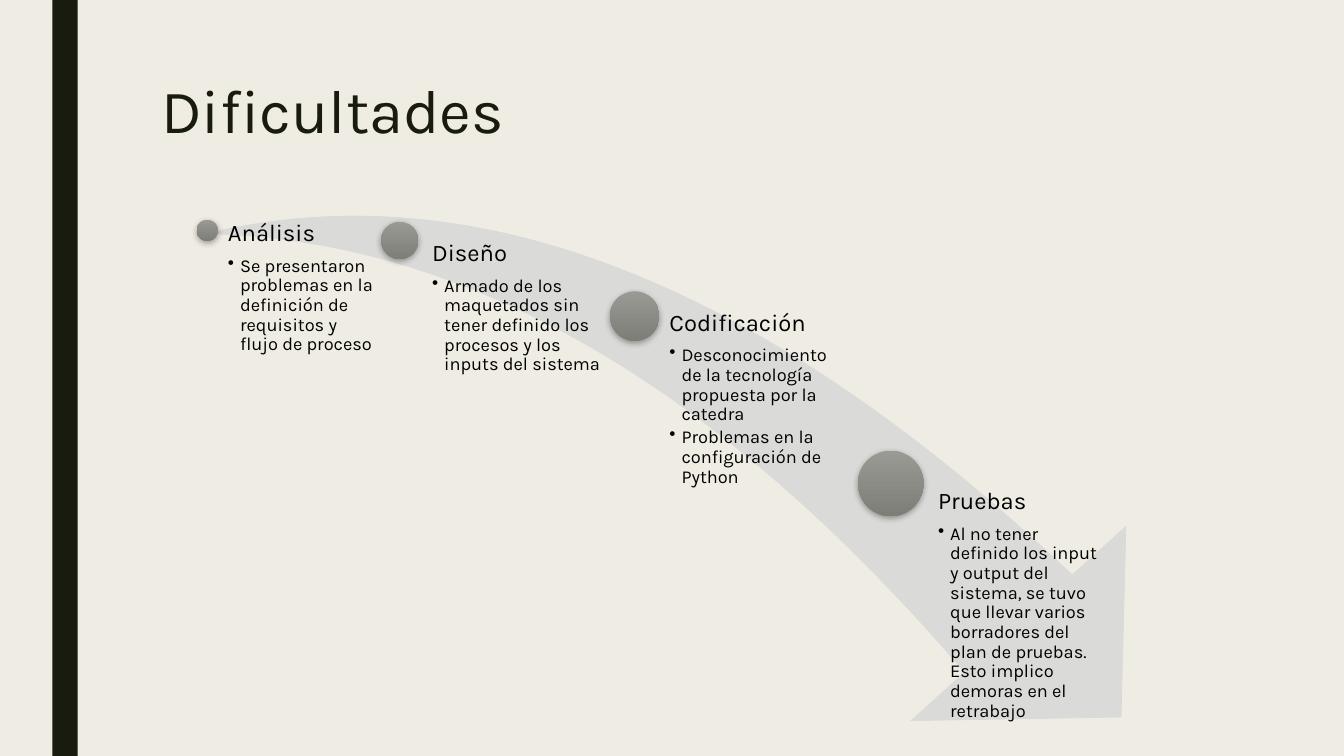
"""Build the "Dificultades" slide: four project stages along a swoosh arrow."""
import lxml.etree
import pptx
import pptx.dml.color
import pptx.enum.shapes
import pptx.enum.text
import pptx.oxml
import pptx.oxml.ns
import pptx.util

Inches = pptx.util.Inches
Pt = pptx.util.Pt
MSO_SHAPE = pptx.enum.shapes.MSO_SHAPE
DARK = "191B0E"
NAMESPACE = pptx.oxml.ns.nsdecls("a")
SHADOW = (
    f'<a:effectLst {NAMESPACE}><a:outerShdw blurRad="57150" dist="19050" dir="5400000" '
    'algn="ctr" rotWithShape="0"><a:srgbClr val="000000"><a:alpha val="35000"/></a:srgbClr>'
    '</a:outerShdw></a:effectLst>'
)


def color(hex_string):
    return pptx.dml.color.RGBColor.from_string(hex_string)


def style(paragraph, size, hex_string, line_spacing):
    paragraph.alignment = pptx.enum.text.PP_ALIGN.LEFT
    paragraph.line_spacing = line_spacing
    for run in paragraph.runs:
        run.font.name = "Karla"
        run.font.size = Pt(size)
        run.font.color.rgb = color(hex_string)


presentation = pptx.Presentation()
presentation.slide_width = Inches(13.33)
presentation.slide_height = Inches(7.5)
slide = presentation.slides.add_slide(presentation.slide_layouts[5])
slide.background.fill.solid()
slide.background.fill.fore_color.rgb = color("EFEDE3")

title = slide.shapes.title
title.left, title.top, title.width, title.height = map(Inches, (1.5, 0.75, 10.5, 1.62))
title.text_frame.text = "Dificultades"
title.text_frame.vertical_anchor = pptx.enum.text.MSO_ANCHOR.TOP
title.text_frame.auto_size = pptx.enum.text.MSO_AUTO_SIZE.NONE
style(title.text_frame.paragraphs[0], 44, DARK, 0.89)

side_bar = slide.shapes.add_shape(
    MSO_SHAPE.RECTANGLE, Inches(0.52), 0, Inches(0.25), presentation.slide_height)
arrow = slide.shapes.add_shape(
    MSO_SHAPE.SWOOSH_ARROW, Inches(2.43), Inches(1.51), Inches(9.21), Inches(5.75))
arrow.rotation = 54.3
arrow.adjustments[0] = arrow.adjustments[1] = 0.25
for shape, fill in ((side_bar, DARK), (arrow, "DADBD9")):
    shape.shadow.inherit = False
    shape.fill.solid()
    shape.fill.fore_color.rgb = color(fill)
    shape.line.fill.background()

stages = [
    ("Análisis", (1.95, 2.18, 0.21), (2.15, 2.19, 1.57, 1.37),
     ["Se presentaron problemas en la definición de requisitos y flujo de proceso"]),
    ("Diseño", (3.78, 2.2, 0.37), (4.09, 2.39, 1.93, 2.63),
     ["Armado de los maquetados sin tener definido los procesos y los inputs del sistema"]),
    ("Codificación", (6.05, 2.89, 0.49), (6.38, 3.08, 1.93, 2.05),
     ["Desconocimiento de la tecnología propuesta por la catedra",
      "Problemas en la configuración de Python"]),
    ("Pruebas", (8.51, 4.47, 0.65), (8.96, 4.85, 1.93, 2.3),
     ["Al no tener definido los input y output del sistema, se tuvo que llevar varios "
      "borradores del plan de pruebas. Esto implico demoras en el retrabajo"]),
]

for heading, (left, top, diameter), text_area, difficulties in stages:
    circle = slide.shapes.add_shape(
        MSO_SHAPE.OVAL, Inches(left), Inches(top), Inches(diameter), Inches(diameter))
    circle.fill.gradient()
    circle.fill.gradient_angle = 270
    for stop, shade in zip(circle.fill.gradient_stops, ("999A94", "7D7E76")):
        stop.color.rgb = color(shade)
    circle.line.fill.background()
    circle._element.spPr.append(pptx.oxml.parse_xml(SHADOW))

    text_frame = slide.shapes.add_textbox(*map(Inches, text_area)).text_frame
    text_frame.word_wrap = True
    text_frame.margin_left = Inches(diameter * 0.53)
    text_frame.margin_top = text_frame.margin_right = text_frame.margin_bottom = 0
    text_frame.text = "\n".join([heading, *difficulties])
    heading_paragraph, *bullet_paragraphs = text_frame.paragraphs
    style(heading_paragraph, 17, "000000", 0.9)
    heading_paragraph.space_after = Pt(7)
    for paragraph in bullet_paragraphs:
        paragraph.level = 1
        style(paragraph, 13, "000000", 0.9)
        paragraph.space_after = Pt(2.3)
        properties = paragraph._element.get_or_add_pPr()
        properties.set("marL", str(Inches(0.12)))
        properties.set("indent", str(-Inches(0.12)))
        lxml.etree.SubElement(properties, pptx.oxml.ns.qn("a:buChar"), char="•")

presentation.save("out.pptx")
